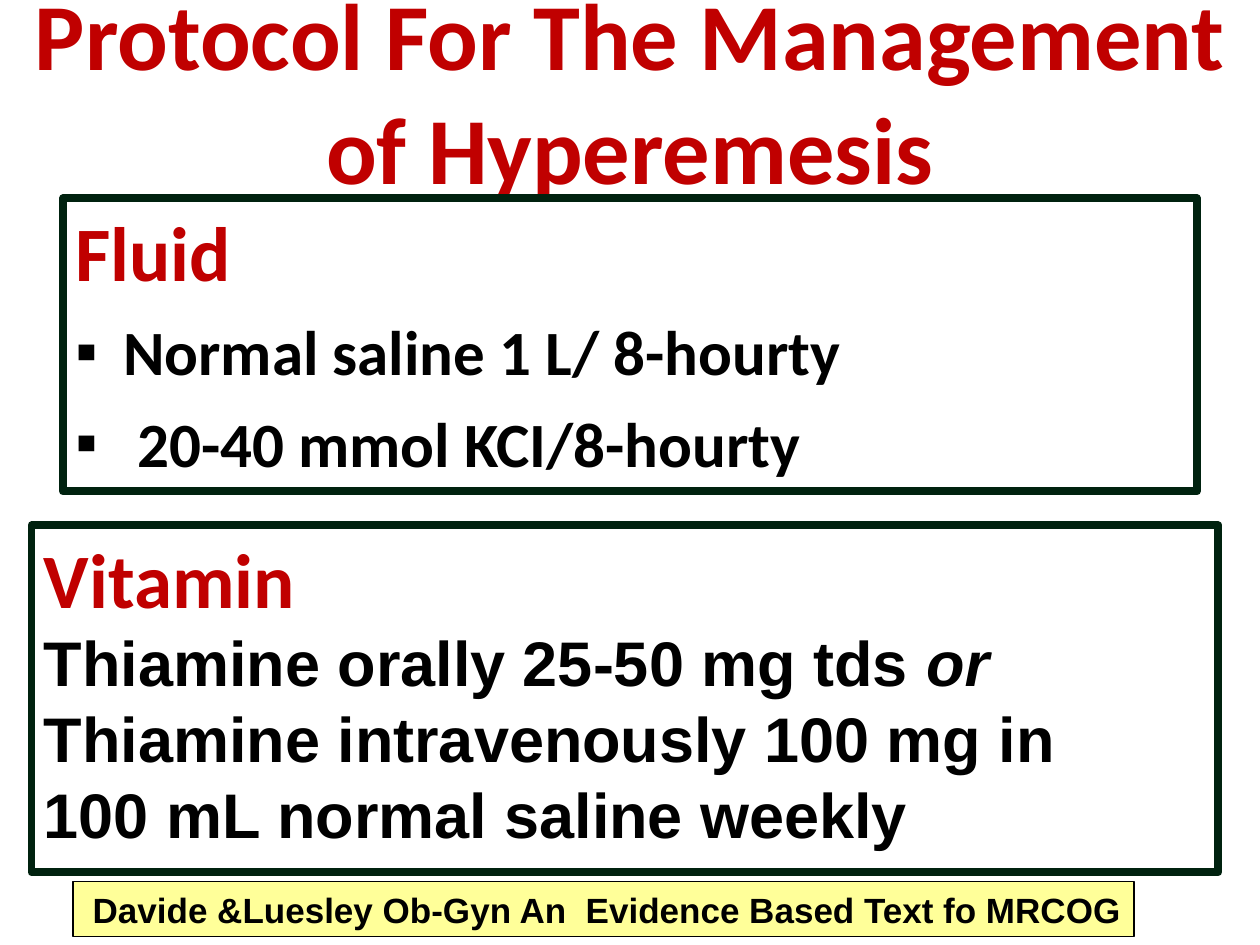
from pptx import Presentation
from pptx.dml.color import RGBColor
from pptx.enum.shapes import MSO_SHAPE as Shape
from pptx.enum.text import MSO_ANCHOR as Anchor, MSO_AUTO_SIZE as Fit, PP_ALIGN as Align
from pptx.oxml import parse_xml
from pptx.oxml.ns import nsdecls
from pptx.util import Inches, Pt

RED, GREEN, BLACK, YELLOW = "C00000", "00220F", "000000", "FFFF99"


def rgb(value):
    return RGBColor.from_string(value)


class ProtocolSlide:
    hanging = Inches(0.38)

    def __init__(self, deck):
        self.deck = deck
        self.page = deck.slides.add_slide(deck.slide_layouts[5])

    def place(self, shape, left, top, width, height):
        shape.left = round(self.deck.slide_width * left)
        shape.top = round(self.deck.slide_height * top)
        shape.width = round(self.deck.slide_width * width)
        shape.height = round(self.deck.slide_height * height)

    def style(self, span, size, color, face, italic=False):
        span.font.name = face
        span.font.size = Pt(size)
        span.font.bold = True
        span.font.italic = italic
        span.font.color.rgb = rgb(color)

    def title(self, text, *area):
        title = self.page.shapes.title
        self.place(title, *area)
        frame = title.text_frame
        frame.text = text
        frame.auto_size = Fit.NONE
        frame.vertical_anchor = Anchor.MIDDLE
        frame.paragraphs[0].alignment = Align.CENTER
        self.style(frame.paragraphs[0].runs[0], 54, RED, "Calibri")

    def box(self, area, border, weight, fill=None, anchor=Anchor.TOP):
        box = self.page.shapes.add_shape(Shape.RECTANGLE, 0, 0, 0, 0)
        self.place(box, *area)
        box.shadow.inherit = False
        if fill:
            box.fill.solid()
            box.fill.fore_color.rgb = rgb(fill)
        else:
            box.fill.background()
        box.line.color.rgb = rgb(border)
        box.line.width = Pt(weight)
        box.text_frame.word_wrap = True
        box.text_frame.vertical_anchor = anchor
        return box.text_frame

    def hang(self, para, bullet):
        para.alignment = Align.LEFT
        properties = para._p.get_or_add_pPr()
        properties.set("marL", str(self.hanging))
        properties.set("indent", str(-self.hanging))
        if bullet:
            para.space_before = Pt(9)
            for tag in ('buFont %s typeface="Arial"', 'buChar %s char="▪"'):
                properties.append(parse_xml("<a:" + tag % nsdecls("a") + "/>"))

    def section(self, heading, lines, area, face, bullet=False):
        frame = self.box(area, GREEN, 4.5)
        frame.text = heading
        self.hang(frame.paragraphs[0], False)
        self.style(frame.paragraphs[0].runs[0], 44, RED, "Calibri")
        for plain, slanted in lines:
            para = frame.add_paragraph()
            self.hang(para, bullet)
            para.text = plain
            self.style(para.runs[0], 36, BLACK, face)
            if slanted:
                span = para.add_run()
                span.text = slanted
                self.style(span, 36, BLACK, face, italic=True)

    def source(self, text, *area):
        frame = self.box(area, BLACK, 0.75, YELLOW, Anchor.MIDDLE)
        frame.text = text
        frame.paragraphs[0].alignment = Align.RIGHT
        self.style(frame.paragraphs[0].runs[0], 20, BLACK, "Arial")


def main():
    deck = Presentation()
    deck.slide_width, deck.slide_height = Inches(10), Inches(7.5)
    slide = ProtocolSlide(deck)
    slide.title("Protocol For The Management of Hyperemesis", 0, 0.01, 1, 0.17)
    slide.section(
        "Fluid",
        [("Normal saline 1 L/ 8-hourty", ""), (" 20-40 mmol KCI/8-hourty", "")],
        (0.05, 0.21, 0.9, 0.31), "Calibri", bullet=True)
    slide.section(
        "Vitamin",
        [("Thiamine orally 25-50 mg tds ", "or"),
         ("Thiamine intravenously 100 mg in", ""),
         ("100 mL normal saline weekly", "")],
        (0.025, 0.556, 0.942, 0.367), "Arial")
    slide.source("Davide &Luesley Ob-Gyn An  Evidence Based Text fo MRCOG",
                 0.058, 0.933, 0.842, 0.058)
    deck.save("out.pptx")


if __name__ == "__main__":
    main()
